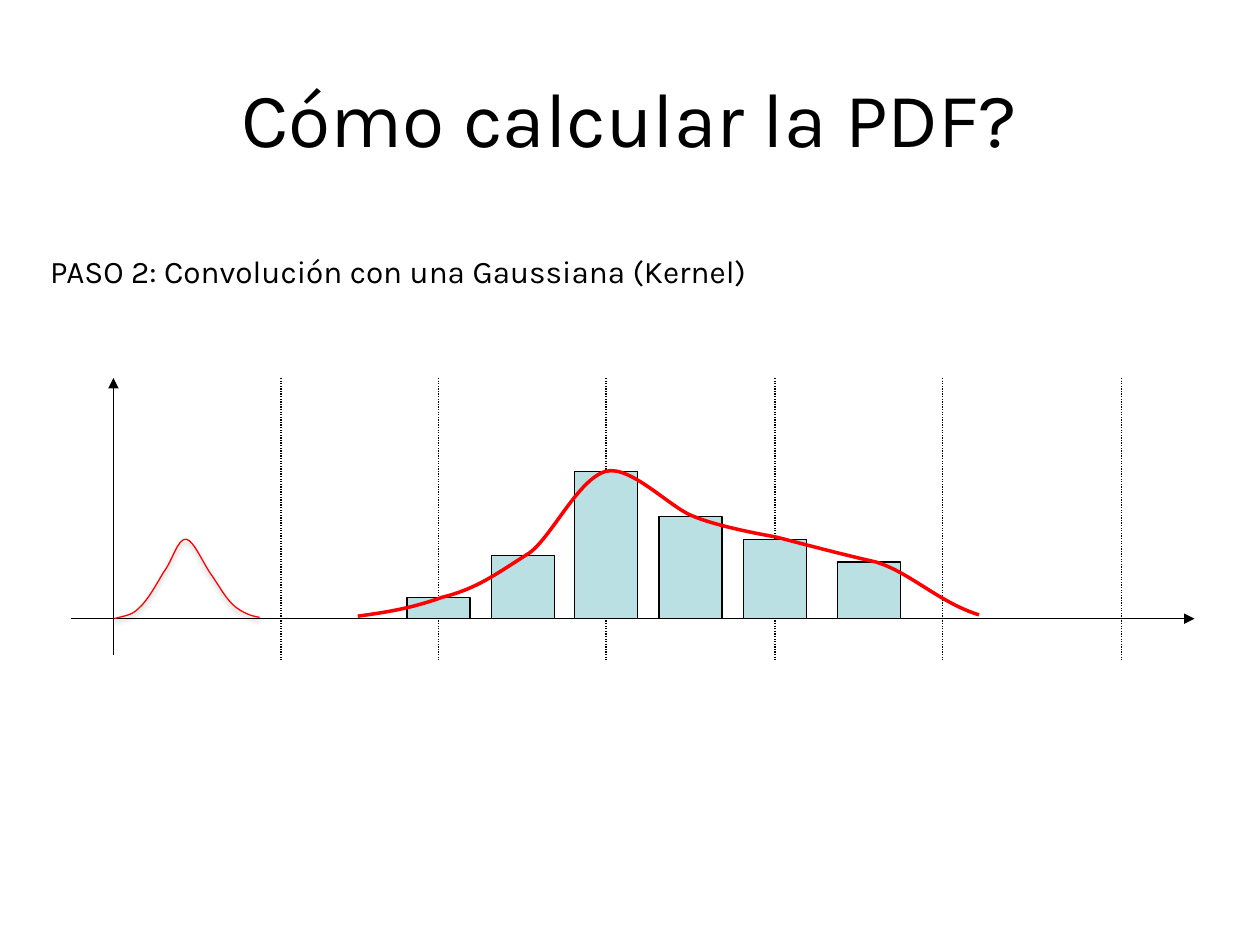
from lxml import etree
from pptx import Presentation
from pptx.dml.color import RGBColor
from pptx.enum.dml import MSO_LINE
from pptx.enum.shapes import MSO_CONNECTOR, MSO_SHAPE
from pptx.enum.text import MSO_ANCHOR, PP_ALIGN
from pptx.oxml.ns import qn
from pptx.util import Inches, Pt

STRAIGHT, RECT = MSO_CONNECTOR.STRAIGHT, MSO_SHAPE.RECTANGLE
DOTTED = MSO_LINE.ROUND_DOT  # written as sysDot
MIDDLE, TOP = MSO_ANCHOR.MIDDLE, MSO_ANCHOR.TOP
LEFT, CENTER = PP_ALIGN.LEFT, PP_ALIGN.CENTER

FONT = "Karla"
COLORS = {"ink": "000000", "bar": "BBE0E3", "curve": "FF0000"}

# Content: text, box, size, alignment, anchor, wrap
TITLE = ("Cómo calcular la PDF?", (0.5, 0.3, 9, 1.25), 44, CENTER, MIDDLE, True)
STEP = ("PASO 2: Convolución con una Gaussiana (Kernel)",
        (0.3, 1.95, 5.84, 0.4), 18, LEFT, TOP, False)

BASE_Y, TOP_Y, GRID_BOTTOM = 4.91, 3, 5.24
GRID_XS = [2.23, 3.48, 4.81, 6.15, 7.48, 8.9]
BAR_WIDTH = 0.5
BARS = [(6.65, 0.45), (5.9, 0.63), (5.23, 0.81),
        (4.56, 1.17), (3.9, 0.5), (3.23, 0.17)]  # left, height

# Each curve: start point, then (control, control, end) per segment
KERNEL = [(0.91, 4.91),
          ((0.97, 4.89), (1.04, 4.89), (1.1, 4.83)),
          ((1.17, 4.77), (1.24, 4.64), (1.3, 4.54)),
          ((1.37, 4.45), (1.41, 4.27), (1.48, 4.28)),
          ((1.54, 4.29), (1.62, 4.49), (1.69, 4.58)),
          ((1.75, 4.67), (1.8, 4.76), (1.86, 4.81)),
          ((1.92, 4.86), (1.99, 4.89), (2.06, 4.9))]
DENSITY = [(2.84, 4.89),
           ((3.06, 4.86), (3.26, 4.83), (3.51, 4.74)),
           ((3.79, 4.67), (3.93, 4.56), (4.2, 4.39)),
           ((4.38, 4.26), (4.59, 3.8), (4.81, 3.74)),
           ((5.01, 3.69), (5.33, 4.04), (5.51, 4.1)),
           ((5.73, 4.19), (6.15, 4.26), (6.15, 4.26)),
           ((6.35, 4.31), (6.64, 4.39), (6.95, 4.46)),
           ((7.22, 4.54), (7.45, 4.78), (7.77, 4.88))]


def rgb(name):
    return RGBColor.from_string(COLORS[name])


def add_text(slide, text, box, size, align, anchor, wrap):
    tf = slide.shapes.add_textbox(*map(Inches, box)).text_frame
    tf.word_wrap, tf.vertical_anchor = wrap, anchor
    p = tf.paragraphs[0]
    p.text, p.alignment = text, align
    p.font.name, p.font.size = FONT, Pt(size)
    p.font.color.rgb = rgb("ink")


def set_line(sp, color, width):
    sp.line.color.rgb = rgb(color)
    sp.line.width = Pt(width)


def add_line(shapes, start, end, dash=None, arrow=None):
    sp = shapes.add_connector(STRAIGHT, *map(Inches, start + end))
    set_line(sp, "ink", 0.75)
    if dash:
        sp.line.dash_style = dash
    if arrow:
        ln = sp.line._get_or_add_ln()
        etree.SubElement(ln, qn(arrow), type="triangle")
    etree.SubElement(sp._element.spPr, qn("a:effectLst"))


def add_curve(slide, curve, width):
    start, *segments = curve
    builder = slide.shapes.build_freeform(*map(Inches, start))
    builder.add_line_segments(
        [tuple(map(Inches, segment[-1])) for segment in segments], close=False)
    sp = builder.convert_to_shape()
    # Turn each straight piece into a Bézier piece
    pieces = list(sp._element.iter(qn("a:lnTo")))
    for piece, segment in zip(pieces, segments):
        cubic = etree.Element(qn("a:cubicBezTo"))
        for x, y in segment:
            etree.SubElement(cubic, qn("a:pt"), x=str(Inches(x) - sp.left),
                             y=str(Inches(y) - sp.top))
        piece.getparent().replace(piece, cubic)
    sp.fill.background()
    set_line(sp, "curve", width)
    sp.shadow.inherit = False
    return sp


def add_shadow(sp):
    effects = sp._element.spPr.find(qn("a:effectLst"))
    shadow = etree.SubElement(
        effects, qn("a:outerShdw"), blurRad=str(Pt(3.1)), dist=str(Pt(1.8)),
        dir=str(90 * 60000), rotWithShape="0")
    color = etree.SubElement(shadow, qn("a:srgbClr"), val=COLORS["ink"])
    etree.SubElement(color, qn("a:alpha"), val="35000")


def main():
    prs = Presentation()
    prs.slide_width, prs.slide_height = Inches(10), Inches(7.5)
    slide = prs.slides.add_slide(prs.slide_layouts[6])
    add_text(slide, *TITLE)

    # Horizontal axis, then the vertical axis grouped with the dotted grid
    add_line(slide.shapes, (0.56, BASE_Y), (9.48, BASE_Y), arrow="a:tailEnd")
    grid = slide.shapes.add_group_shape().shapes
    add_line(grid, (0.9, TOP_Y), (0.9, 5.2), arrow="a:headEnd")
    for x in GRID_XS:
        add_line(grid, (x, TOP_Y), (x, GRID_BOTTOM), dash=DOTTED)

    # Histogram bars stand on the horizontal axis
    for left, height in BARS:
        box = (left, BASE_Y - height, BAR_WIDTH, height)
        sp = slide.shapes.add_shape(RECT, *map(Inches, box))
        sp.shadow.inherit = False
        sp.fill.solid()
        sp.fill.fore_color.rgb = rgb("bar")
        set_line(sp, "ink", 0.75)

    add_text(slide, *STEP)

    # Gaussian kernel and smoothed density
    add_shadow(add_curve(slide, KERNEL, 0.75))
    add_curve(slide, DENSITY, 2)

    prs.save("out.pptx")


if __name__ == "__main__":
    main()
